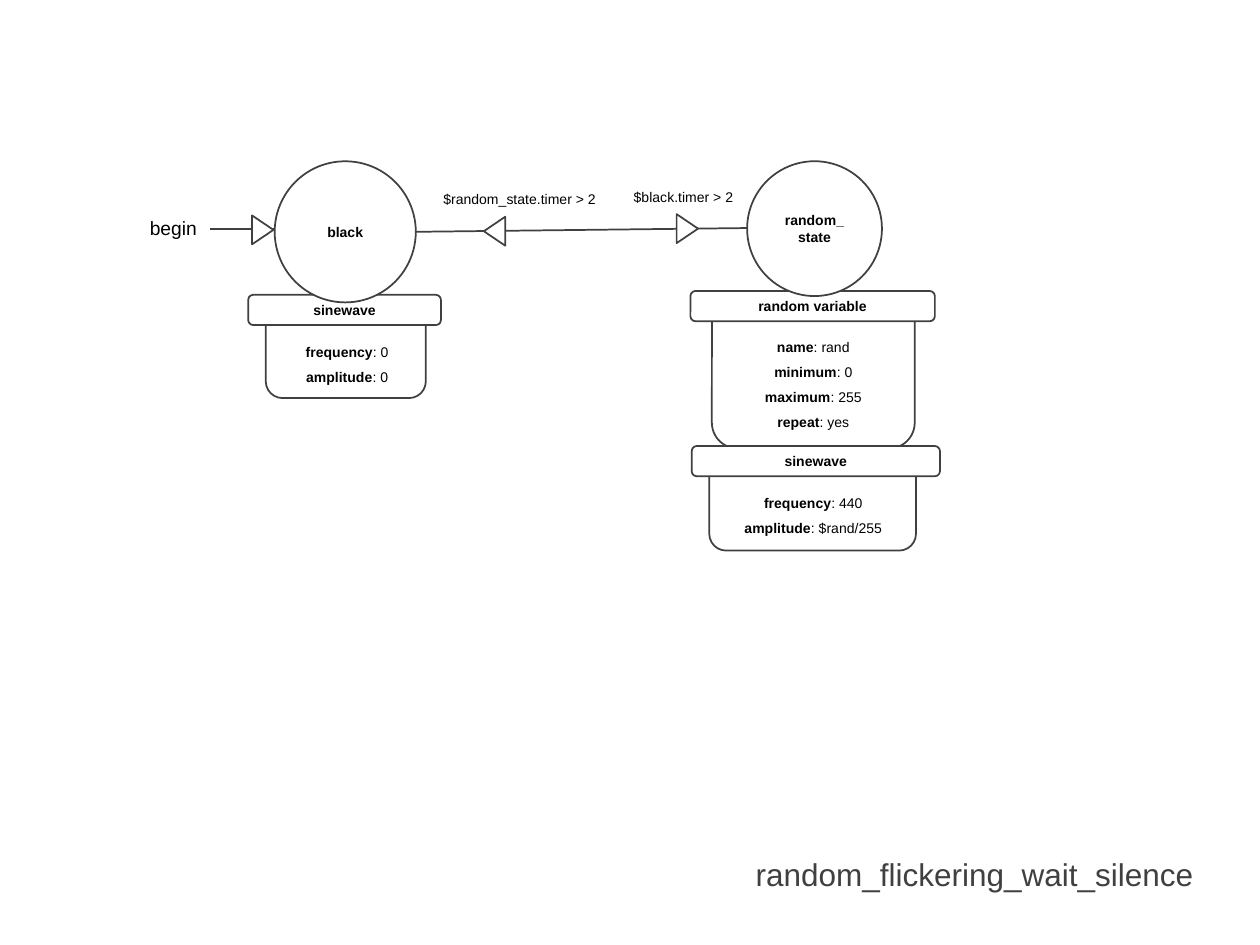
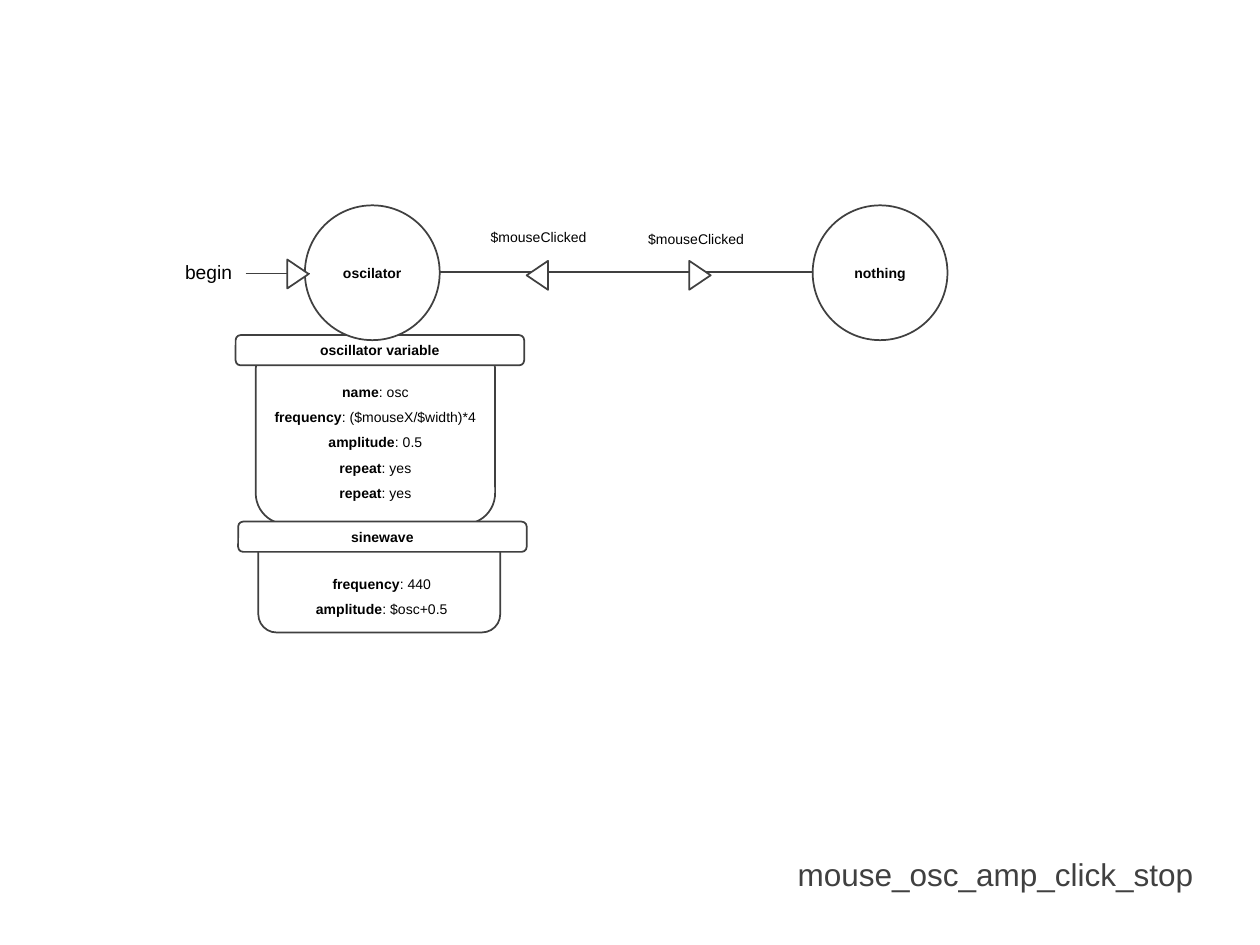
from lxml import etree
from pptx import Presentation
from pptx.dml.color import RGBColor
from pptx.enum import shapes, text
from pptx.oxml.ns import qn
from pptx.util import Inches, Pt

BLACK = RGBColor(0, 0, 0)
WHITE = RGBColor(255, 255, 255)
GRAY = RGBColor(0x40, 0x40, 0x40)
FONT = "Arial"
LID_HEIGHT = 0.24
ARROW_WIDTH, ARROW_HEIGHT = 0.23, 0.17
LEFT, CENTER, RIGHT = text.PP_ALIGN.LEFT, text.PP_ALIGN.CENTER, text.PP_ALIGN.RIGHT


def write(frame, paragraphs, size=8, color=BLACK, align=CENTER, spacing=None):
    """Fill a frame; each paragraph is a list of (text, bold) runs."""
    for index, runs in enumerate(paragraphs):
        paragraph = frame.paragraphs[0] if index == 0 else frame.add_paragraph()
        paragraph.alignment = align
        if spacing:
            paragraph.line_spacing = spacing
        for content, bold in runs:
            for line_number, line in enumerate(content.split("\n")):
                if line_number:
                    paragraph.add_line_break()
                run = paragraph.add_run()
                run.text = line
                run.font.name = FONT
                run.font.size = Pt(size)
                run.font.bold = bold
                run.font.color.rgb = color


class StateDiagram:
    """Draws state machines in one line style, a slide at a time."""

    def __init__(self, presentation):
        self.presentation = presentation
        self.slide = None

    def new_slide(self, title):
        self.slide = self.presentation.slides.add_slide(self.presentation.slide_layouts[6])
        self.label([[(title, False)]], 1.96, 6.59, 7.61, 0.53,
                   size=18, color=GRAY, align=RIGHT)

    def outline(self, kind, left, top, width, height, name=None):
        shape = self.slide.shapes.add_shape(
            kind, Inches(left), Inches(top), Inches(width), Inches(height))
        shape.shadow.inherit = False
        shape.fill.solid()
        shape.fill.fore_color.rgb = WHITE
        shape.line.color.rgb = GRAY
        shape.line.width = Pt(1)
        if name:
            shape.text_frame.vertical_anchor = text.MSO_ANCHOR.MIDDLE
            write(shape.text_frame, [[(name, True)]])
        return shape

    def label(self, paragraphs, left, top, width, height, wrap=True, spacing=1.5, **style):
        box = self.slide.shapes.add_textbox(
            Inches(left), Inches(top), Inches(width), Inches(height))
        box.text_frame.word_wrap = wrap
        box.text_frame.auto_size = text.MSO_AUTO_SIZE.SHAPE_TO_FIT_TEXT
        write(box.text_frame, paragraphs, spacing=spacing, **style)

    def line(self, start_x, start_y, end_x, end_y):
        connector = self.slide.shapes.add_connector(
            shapes.MSO_CONNECTOR.STRAIGHT,
            Inches(start_x), Inches(start_y), Inches(end_x), Inches(end_y))
        connector.line.color.rgb = GRAY
        connector.line.width = Pt(1)
        etree.SubElement(connector._element.spPr, qn("a:effectLst"))

    def arrow(self, left, top, rotation):
        triangle = self.outline(shapes.MSO_SHAPE.ISOSCELES_TRIANGLE,
                                left, top, ARROW_WIDTH, ARROW_HEIGHT)
        triangle.rotation = rotation

    def begin(self, left, top):
        """Entry mark: the word, a short line and an arrow to the first state."""
        self.line(left + 0.58, top + 0.15, left + 1.09, top + 0.15)
        self.arrow(left + 0.88, top + 0.07, 90)
        self.label([[("begin", False)]], left, top, 0.58, 0.29,
                   wrap=False, spacing=None, size=11, align=LEFT)

    def state(self, name, left, top, diameter=1.07):
        self.outline(shapes.MSO_SHAPE.OVAL, left, top, diameter, diameter, name)

    def transition(self, condition, arrow_at, rotation, label_at, label_width):
        self.arrow(*arrow_at, rotation)
        self.label([[(condition, False)]], *label_at, label_width, 0.29)

    def jar(self, name, fields, body, lid, fields_at):
        """Process of a state; lid is left, top, width and fields_at the same."""
        self.outline(shapes.MSO_SHAPE.ROUNDED_RECTANGLE, *body)
        self.outline(shapes.MSO_SHAPE.ROUNDED_RECTANGLE, *lid, LID_HEIGHT, name)
        paragraphs = [[(key, True), (f": {value}", False)] for key, value in fields]
        self.label(paragraphs, *fields_at, 0.1 + 0.2 * len(fields))


def draw_random_flickering(diagram):
    diagram.new_slide("random_flickering_wait_silence")
    diagram.jar("sinewave", [("frequency", "0"), ("amplitude", "0")],
                body=(2.11, 2.36, 1.27, 0.8), lid=(1.97, 2.34, 1.53),
                fields_at=(2.12, 2.61, 1.27))
    diagram.jar("random variable",
                [("name", "rand"), ("minimum", "0"), ("maximum", "255"), ("repeat", "yes")],
                body=(5.65, 2.33, 1.61, 1.23), lid=(5.48, 2.31, 1.94),
                fields_at=(5.65, 2.57, 1.61))
    diagram.jar("sinewave", [("frequency", "440"), ("amplitude", "$rand/255")],
                body=(5.63, 3.57, 1.64, 0.8), lid=(5.49, 3.54, 1.97),
                fields_at=(5.64, 3.81, 1.63))
    diagram.begin(1.09, 1.67)
    diagram.state("black", 2.18, 1.28, diameter=1.12)
    diagram.state("random_\nstate", 5.93, 1.28)
    diagram.line(3.3, 1.84, 5.93, 1.81)
    diagram.transition("$black.timer > 2", (5.34, 1.73), 90, (4.78, 1.38), 1.29)
    diagram.transition("$random_state.timer > 2", (3.81, 1.75), 270, (3.34, 1.4), 1.57)


def draw_mouse_oscillator(diagram):
    diagram.new_slide("mouse_osc_amp_click_stop")
    diagram.jar("oscillator variable",
                [("name", "osc"), ("frequency", "($mouseX/$width)*4"),
                 ("amplitude", "0.5"), ("repeat", "yes"), ("repeat", "yes")],
                body=(2.03, 2.69, 1.9, 1.47), lid=(1.87, 2.66, 2.29),
                fields_at=(2.03, 2.93, 1.9))
    diagram.jar("sinewave", [("frequency", "440"), ("amplitude", "$osc+0.5")],
                body=(2.05, 4.15, 1.92, 0.87), lid=(1.89, 4.14, 2.29),
                fields_at=(2.09, 4.45, 1.88))
    diagram.state("oscilator", 2.42, 1.63)
    diagram.state("nothing", 6.45, 1.63)
    diagram.begin(1.37, 2.02)
    diagram.line(3.49, 2.16, 6.45, 2.16)
    diagram.transition("$mouseClicked", (5.44, 2.1), 90, (4.88, 1.71), 1.29)
    diagram.transition("$mouseClicked", (4.15, 2.1), 270, (3.49, 1.7), 1.57)


def main():
    presentation = Presentation()
    presentation.slide_width = Inches(10)
    presentation.slide_height = Inches(7.5)
    diagram = StateDiagram(presentation)
    draw_random_flickering(diagram)
    draw_mouse_oscillator(diagram)
    presentation.save("out.pptx")


if __name__ == "__main__":
    main()
